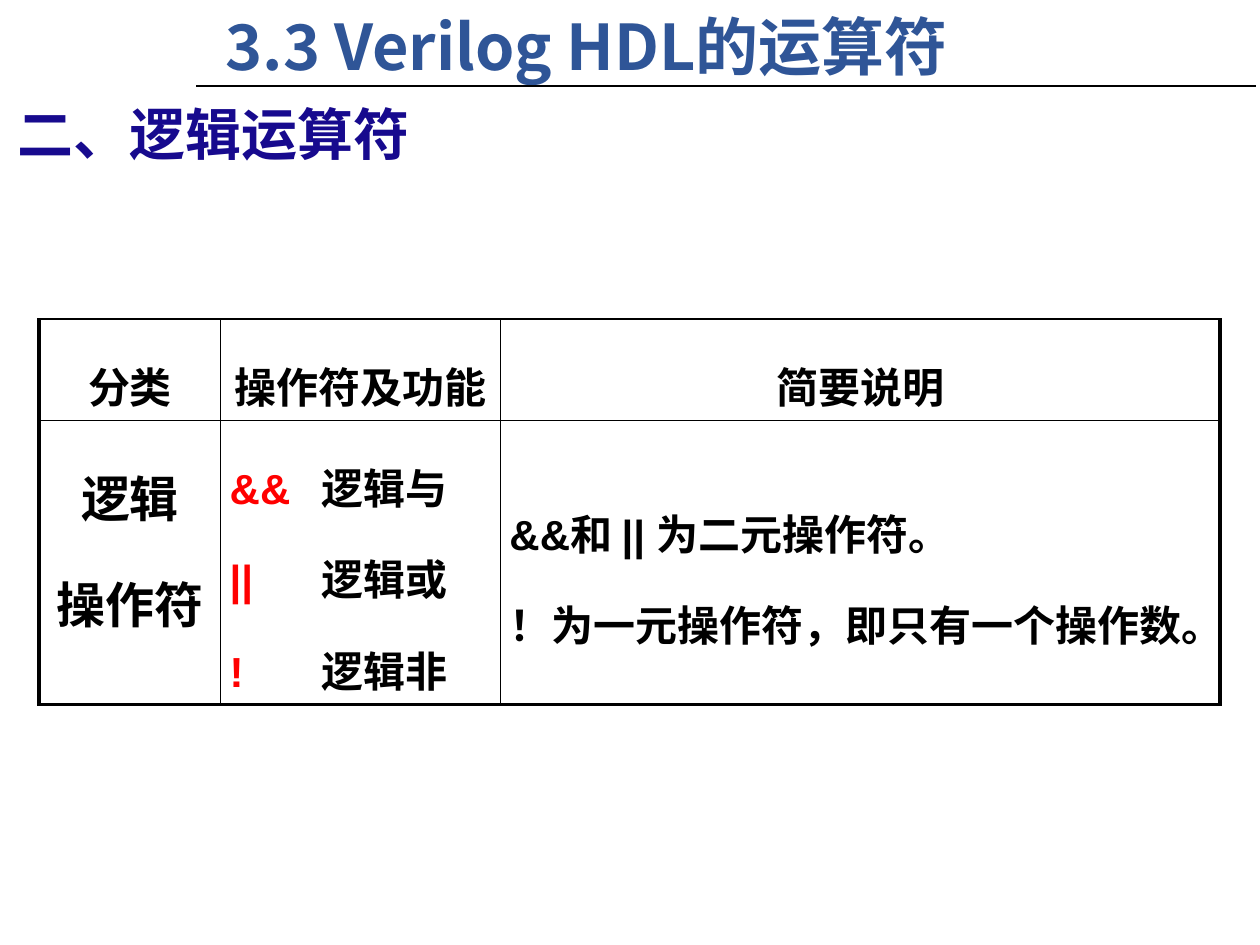
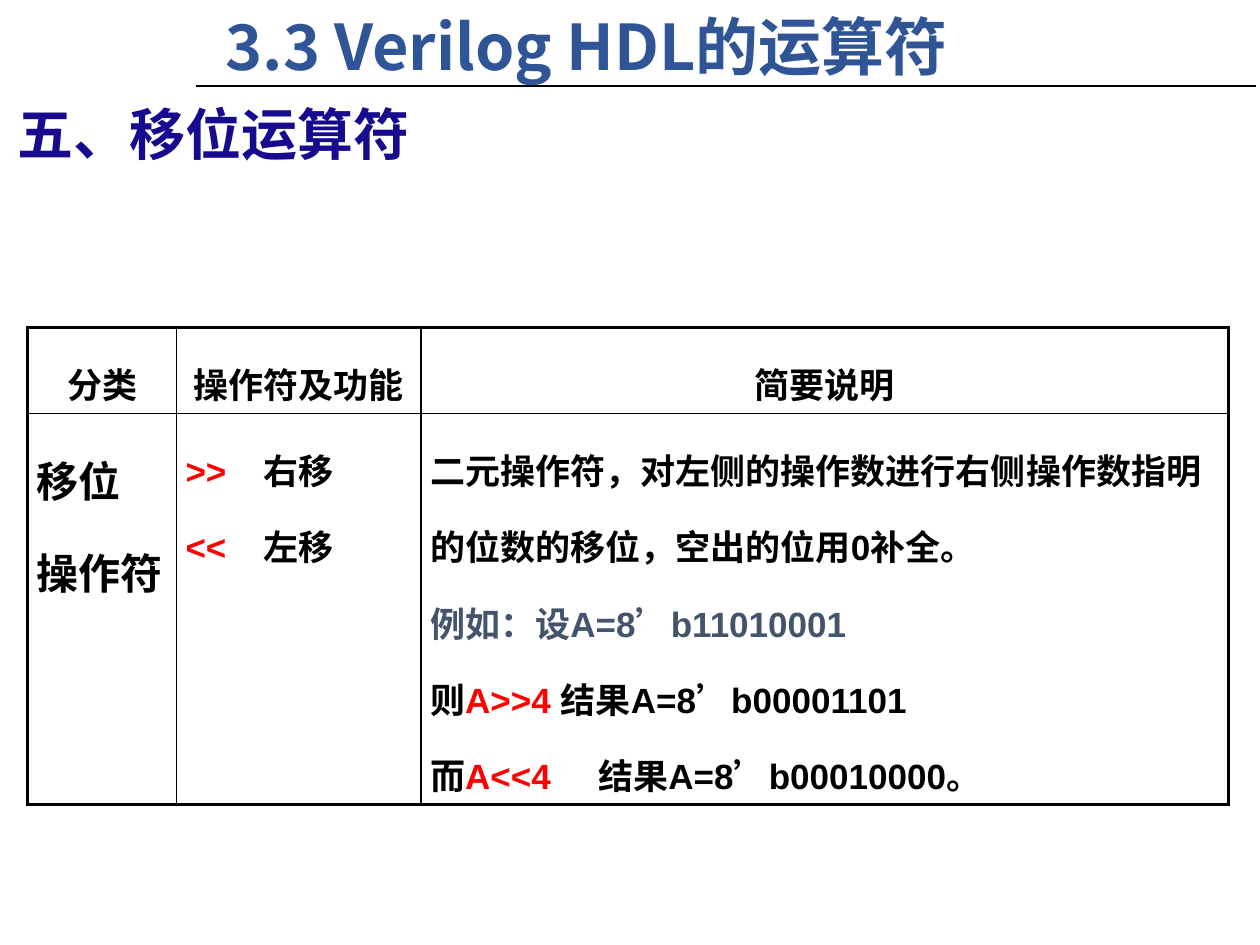
from lxml import etree
from pptx import Presentation
from pptx.dml.color import RGBColor
from pptx.enum.shapes import MSO_CONNECTOR
from pptx.enum.text import MSO_ANCHOR, MSO_AUTO_SIZE, PP_ALIGN
from pptx.oxml.ns import qn
from pptx.util import Cm, Pt

STRAIGHT = MSO_CONNECTOR.STRAIGHT
TOP, MIDDLE = MSO_ANCHOR.TOP, MSO_ANCHOR.MIDDLE
LEFT, CENTER = PP_ALIGN.LEFT, PP_ALIGN.CENTER
NO_AUTOFIT = MSO_AUTO_SIZE.NONE

COLORS = {"title": "2F5597", "heading": "170A8E", "text": "000000",
          "operator": "FF0000", "example": "44546A"}
LATIN_FONT, CHINESE_FONT = "Arial", "Noto Sans CJK SC"
THIN, THICK = 1, 2.25
TITLE_ONLY = 5

# Content: a paragraph is a list of (text, colour) spans
TITLE = "3.3 Verilog HDL的运算符"
HEADERS = ["分类", "操作符及功能", "简要说明"]


def plain(*lines):
    return [[(line, "text")] for line in lines]


def operators(*pairs):
    return [[(f"{sign}\t", "operator"), (name, "text")] for sign, name in pairs]


SLIDES = [
    {
        "heading": "二、逻辑运算符",
        "left": 0.79, "top": 6.43, "height": 6.07,
        "columns": [3.66, 5.64, 14.5], "rows": [1.04, 2.77],
        "size": 24, "category_size": 28, "top_border": THIN,
        "category_align": CENTER, "note_anchor": MIDDLE,
        "tabs": [None, 1.86, None],
        "cells": [
            plain("逻辑", "操作符"),
            operators(("&&", "逻辑与"), ("||", "逻辑或"), ("!", "逻辑非")),
            plain("&&和 || 为二元操作符。", "！为一元操作符，即只有一个操作数。"),
        ],
    },
    {
        "heading": "五、移位运算符",
        "left": 0.56, "top": 6.6, "height": 7.67,
        "columns": [3, 4.93, 16.28], "rows": [1.04, 4.47],
        "size": 20, "category_size": 24, "top_border": THICK,
        "category_align": LEFT, "note_anchor": TOP,
        "tabs": [None, 1.58, 3.39],
        "cells": [
            plain("移位", "操作符"),
            operators((">>", "右移"), ("<<", "左移")),
            [
                [("二元操作符，对左侧的操作数进行右侧操作数指明的位数的移位，"
                  "空出的位用0补全。", "text")],
                [("例如：设A=8’b11010001", "example")],
                [("则", "text"), ("A>>4 ", "operator"),
                 ("结果A=8’b00001101", "text")],
                [("而", "text"), ("A<<4\t", "operator"),
                 ("结果A=8’b00010000。", "text")],
            ],
        ],
    },
]


def add_span(para, text, color, size, font):
    span = para.add_run()
    span.text = text
    span.font.name, span.font.size, span.font.bold = font, Pt(size), True
    span.font.color.rgb = RGBColor.from_string(COLORS[color])
    east_asian = etree.SubElement(span.font._element, qn("a:ea"))
    east_asian.set("typeface", CHINESE_FONT)


def place_line(box, text, color, size, left, top, width, height):
    """Fill a title or text box with one left-aligned line."""
    box.left, box.top, box.width, box.height = map(Cm, (left, top, width, height))
    frame = box.text_frame
    frame.word_wrap, frame.auto_size = True, NO_AUTOFIT
    frame.vertical_anchor = TOP
    para = frame.paragraphs[0]
    para.alignment = LEFT
    add_span(para, text, color, size, CHINESE_FONT)


def add_rule(slide):
    rule = slide.shapes.add_connector(STRAIGHT, Cm(3.96), Cm(1.73), Cm(25.32), Cm(1.73))
    rule.line.color.rgb = RGBColor.from_string(COLORS["text"])
    rule.line.width = Pt(1.25)
    etree.SubElement(rule._element.spPr, qn("a:effectLst"))


def set_borders(cell, widths):
    """Draw the left, right, top and bottom borders, in that order."""
    properties = cell._tc.get_or_add_tcPr()
    for index, (side, width) in enumerate(zip("LRTB", widths)):
        line = etree.Element(qn(f"a:ln{side}"), w=str(Pt(width)))
        fill = etree.SubElement(line, qn("a:solidFill"))
        etree.SubElement(fill, qn("a:srgbClr"), val=COLORS["text"])
        properties.insert(index, line)


def fill_cell(cell, paragraphs, size, align, anchor, tab):
    cell.fill.background()
    cell.margin_left = cell.margin_right = Cm(0.18)
    cell.margin_top = cell.margin_bottom = Cm(0.1)
    cell.vertical_anchor = anchor
    frame = cell.text_frame
    for index, spans in enumerate(paragraphs):
        para = frame.add_paragraph() if index else frame.paragraphs[0]
        if tab and any("\t" in text for text, _ in spans):
            tabs = etree.SubElement(para._p.get_or_add_pPr(), qn("a:tabLst"))
            etree.SubElement(tabs, qn("a:tab"), pos=str(Cm(tab)), algn="l")
        para.alignment, para.line_spacing = align, 1.5
        for text, color in spans:
            # The full-width quote takes the Chinese font
            for piece in filter(None, text.partition("’")):
                font = CHINESE_FONT if piece == "’" else LATIN_FONT
                add_span(para, piece, color, size, font)


def add_operator_table(slide, content):
    columns, rows = content["columns"], content["rows"]
    holder = slide.shapes.add_table(
        len(rows), len(columns), Cm(content["left"]), Cm(content["top"]),
        Cm(sum(columns)), Cm(content["height"]))
    table = holder.table
    table.first_row = table.horz_banding = False
    for column, width in zip(table.columns, columns):
        column.width = Cm(width)
    for row, height in zip(table.rows, rows):
        row.height = Cm(height)
    holder.height = Cm(content["height"])

    size = content["size"]
    sizes = [content["category_size"], size, size]
    aligns = [content["category_align"], LEFT, LEFT]
    anchors = [TOP, TOP, content["note_anchor"]]
    last = len(columns) - 1
    for index, header in enumerate(HEADERS):
        head, body = table.cell(0, index), table.cell(1, index)
        fill_cell(head, plain(header), size, CENTER, TOP, None)
        fill_cell(body, content["cells"][index], sizes[index], aligns[index],
                  anchors[index], content["tabs"][index])
        sides = [THICK if index == 0 else THIN, THICK if index == last else THIN]
        set_borders(head, sides + [content["top_border"], THIN])
        set_borders(body, sides + [THIN, THICK])


def main():
    deck = Presentation()
    deck.slide_width, deck.slide_height = Cm(25.4), Cm(19.05)
    for content in SLIDES:
        slide = deck.slides.add_slide(deck.slide_layouts[TITLE_ONLY])
        add_operator_table(slide, content)
        heading = slide.shapes.add_textbox(0, 0, 0, 0)
        place_line(heading, content["heading"], "heading", 32, 0.1, 1.88, 16.54, 1.63)
        add_rule(slide)
        place_line(slide.shapes.title, TITLE, "title", 36, 4.29, 0.03, 20.04, 1.8)
    deck.save("out.pptx")


if __name__ == "__main__":
    main()
